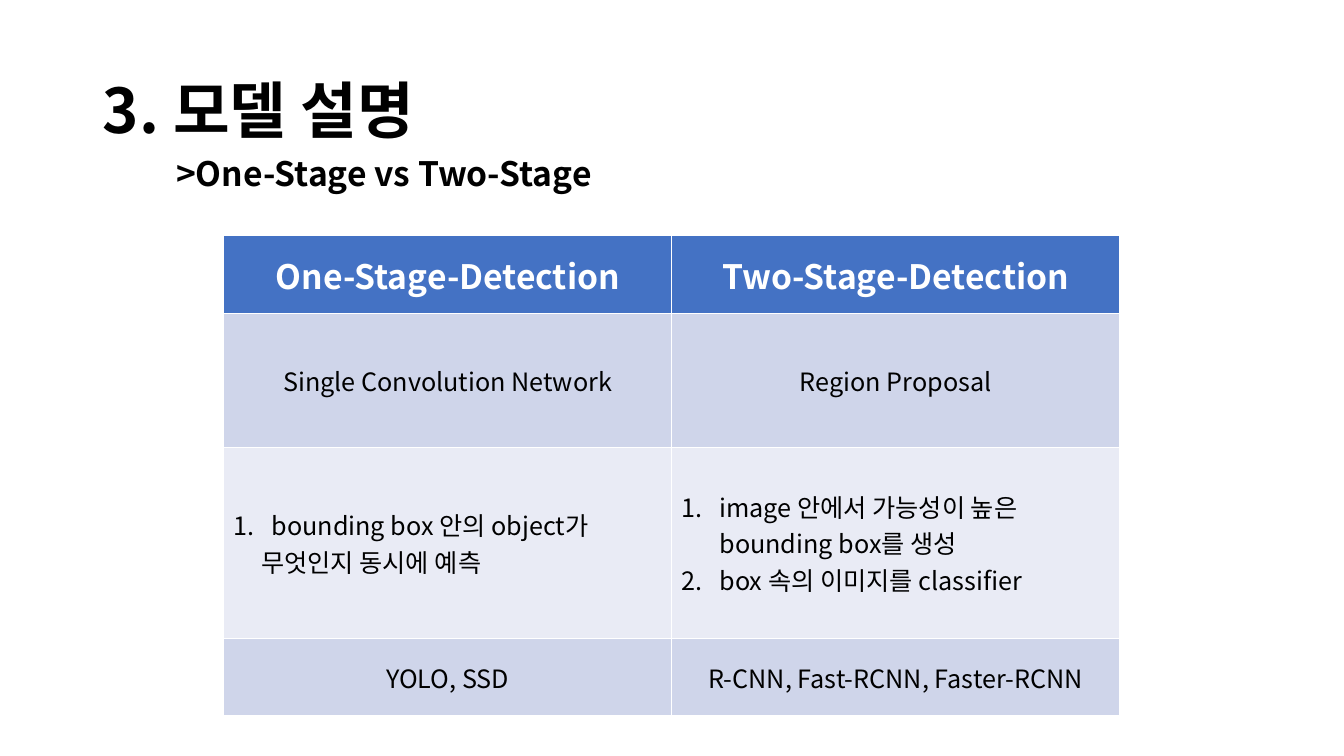
from lxml import etree
from pptx import Presentation
from pptx import util as u
from pptx.dml.color import RGBColor
from pptx.enum import text as t
from pptx.oxml import ns

HUES = {"ink": "000000", "paper": "FFFFFF", "head": "4472C4",
        "dark": "CFD5EA", "light": "E9EBF5"}
FACE = "Noto Sans CJK KR"
LEFT, MID = t.PP_ALIGN.LEFT, t.PP_ALIGN.CENTER
HEAD = {"size": u.Pt(24), "bold": True}
BODY = {"size": u.Pt(18), "bold": False}
ROWS = [
    (1.95, "head", "paper", HEAD,
     ["One-Stage-Detection", "Two-Stage-Detection"]),
    (3.38, "dark", "ink", BODY,
     ["Single Convolution Network", "Region Proposal"]),
    (4.82, "light", "ink", BODY,
     [[("bounding box 안의 object가", 0.95, True),
       ("무엇인지 동시에 예측", 0.69, False)],
      [("image 안에서 가능성이 높은 bounding box를 생성", 0.95, True),
       ("box 속의 이미지를 classifier", 0.95, True)]]),
    (1.95, "dark", "ink", BODY,
     ["YOLO, SSD", "R-CNN, Fast-RCNN, Faster-RCNN"]),
]


def apply(item, form):
    for key, val in form.items():
        setattr(item, key, val)


def write(para, words, form, hue, align):
    run = para.add_run()
    run.text = words
    apply(run.font, {"name": FACE, **form})
    run.font.color.rgb = RGBColor.from_string(HUES[hue])
    east = etree.SubElement(run._r.get_or_add_rPr(), ns.qn("a:ea"))
    east.set("typeface", FACE)
    para.alignment = align


def indent(para, left, mark):
    props = para._p.get_or_add_pPr()
    props.set("marL", str(u.Cm(left)))
    props.set("indent", str(-u.Cm(left) if mark else 0))
    if mark:
        font = etree.SubElement(props, ns.qn("a:buFont"))
        font.set("typeface", "+mj-lt")
        auto = etree.SubElement(props, ns.qn("a:buAutoNum"))
        auto.set("type", "arabicPeriod")


def heading(shape, box, words, size):
    apply(shape, dict(zip(("left", "top", "width", "height"), map(u.Cm, box))))
    frame = shape.text_frame
    apply(frame, {"word_wrap": True, "auto_size": t.MSO_AUTO_SIZE.NONE,
                  "vertical_anchor": t.MSO_ANCHOR.MIDDLE})
    para = frame.paragraphs[0]
    para.line_spacing = 0.9
    write(para, words, {"size": u.Pt(size), "bold": True}, "ink", LEFT)


def fill_cell(cell, data, form, hue):
    cell.vertical_anchor = t.MSO_ANCHOR.MIDDLE
    frame = cell.text_frame
    if isinstance(data, str):
        write(frame.paragraphs[0], data, form, hue, MID)
        return
    for num, (words, left, mark) in enumerate(data):
        para = frame.add_paragraph() if num else frame.paragraphs[0]
        write(para, words, form, hue, LEFT)
        indent(para, left, mark)


def compare(slide, box):
    grid = slide.shapes.add_table(len(ROWS), 2, *map(u.Cm, box)).table
    for row, (tall, back, hue, form, cells) in zip(grid.rows, ROWS):
        row.height = u.Cm(tall)
        for cell, data in zip(row.cells, cells):
            cell.fill.solid()
            cell.fill.fore_color.rgb = RGBColor.from_string(HUES[back])
            fill_cell(cell, data, form, hue)


def main():
    deck = Presentation()
    apply(deck, {"slide_width": u.Cm(33.87), "slide_height": u.Cm(19.05)})
    slide = deck.slides.add_slide(deck.slide_layouts[5])
    compare(slide, (5.64, 5.94, 22.58, 12.1))
    sub = slide.shapes.add_textbox(0, 0, 0, 0)
    heading(sub, (4.19, 3.48, 14.6, 1.88), ">One-Stage vs Two-Stage", 24)
    heading(slide.shapes.title, (2.34, 1.02, 9.75, 3.68), "3. 모델 설명", 44)
    deck.save("out.pptx")


if __name__ == "__main__":
    main()
